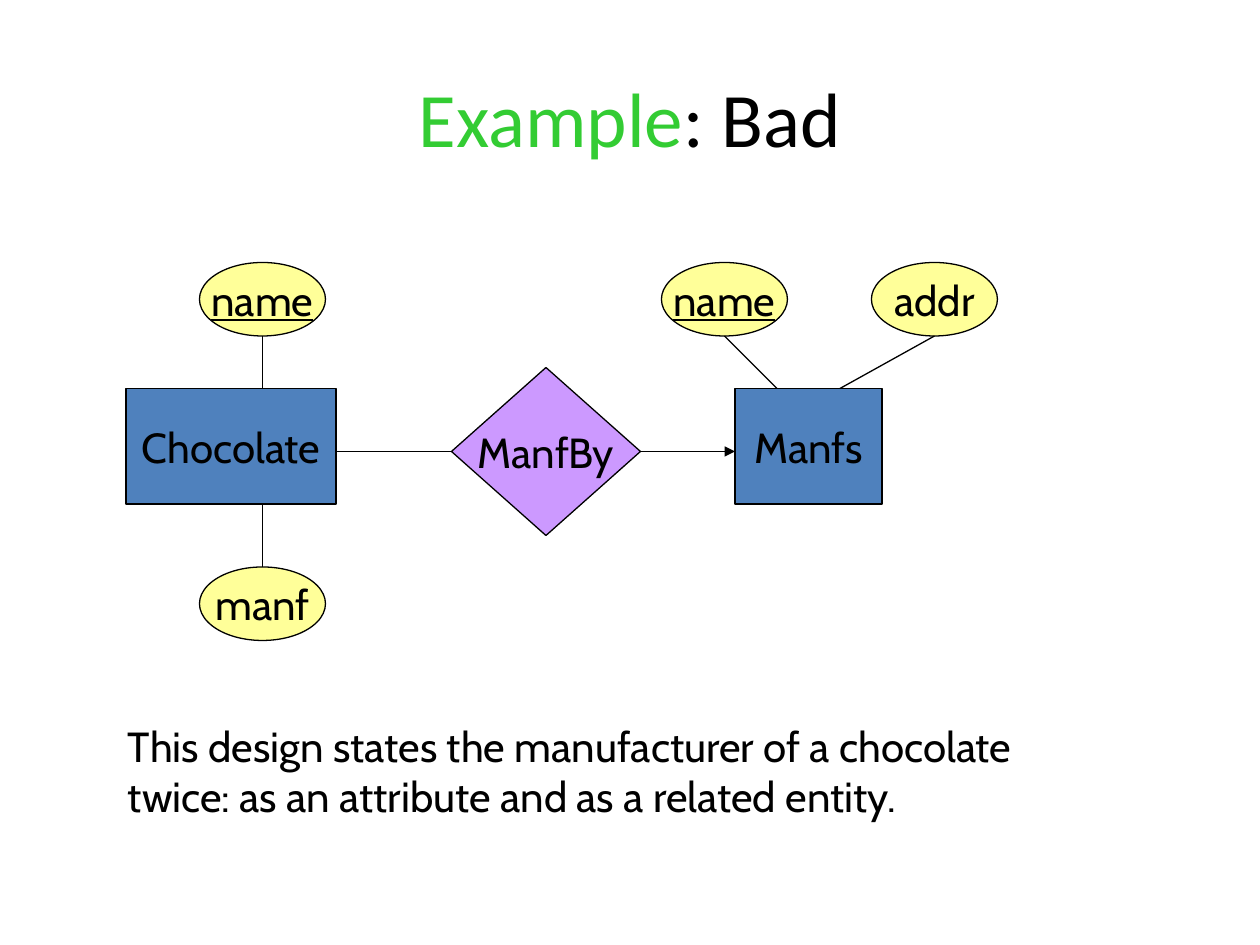
from dataclasses import dataclass

from lxml.etree import SubElement
from pptx import Presentation
from pptx.dml.color import RGBColor
from pptx.enum.shapes import MSO_CONNECTOR as Conn, MSO_SHAPE as Kind
from pptx.enum.text import MSO_ANCHOR as Anchor, MSO_AUTO_SIZE as Fit, PP_ALIGN as Align
from pptx.oxml.ns import qn
from pptx.util import Emu, Pt

PX = 9525
BLACK, GREEN = "000000", "33CC33"
BLUE, PURPLE, YELLOW = "4F81BD", "CC99FF", "FFFF99"


@dataclass
class Node:
    """A labelled shape of the diagram."""
    text: str
    kind: Kind
    fill: str
    box: tuple[int, int, int, int]
    key: bool = False


@dataclass
class Link:
    """A line between two points, joined to the diamond if a site is given."""
    start: tuple[int, int]
    end: tuple[int, int]
    site: int | None = None
    arrow: bool = False


def px(*vals: int) -> list[Emu]:
    """Turn px into EMU."""
    return [Emu(v * PX) for v in vals]


def rgb(code: str) -> RGBColor:
    """Turn a hex string into a colour."""
    return RGBColor.from_string(code)


def oval(text: str, left: int, top: int, key: bool = False) -> Node:
    """Describe an attribute."""
    return Node(text, Kind.OVAL, YELLOW, (left, top, 96, 56), key)


def add_run(para, text: str, size: int = 24, font: str = "Cabin",
            color: str = BLACK, under: bool | None = None) -> None:
    """Add one formatted run."""
    run = para.add_run()
    run.text = text
    run.font.size = Pt(size)
    run.font.name = font
    run.font.underline = under
    run.font.color.rgb = rgb(color)


def add_node(slide, node: Node):
    """Draw a labelled shape."""
    shape = slide.shapes.add_shape(node.kind, *px(*node.box))
    shape.shadow.inherit = False
    shape.fill.solid()
    shape.fill.fore_color.rgb = rgb(node.fill)
    shape.line.color.rgb = rgb(BLACK)
    shape.line.width = Pt(0.75)
    frame = shape.text_frame
    frame.word_wrap = False
    frame.vertical_anchor = Anchor.MIDDLE
    para = frame.paragraphs[0]
    para.alignment = Align.CENTER
    add_run(para, node.text, under=node.key or None)
    return shape


def add_link(slide, link: Link, hub) -> None:
    """Draw a line, with an arrowhead if asked."""
    line = slide.shapes.add_connector(Conn.STRAIGHT, *px(*link.start, *link.end))
    if link.site is not None:
        line.begin_connect(hub, link.site)
    line.line.color.rgb = rgb(BLACK)
    line.line.width = Pt(0.75)
    if link.arrow:
        SubElement(line.line._get_or_add_ln(), qn("a:tailEnd"), type="triangle")
    SubElement(line._element.spPr, qn("a:effectLst"))


def add_title(slide) -> None:
    """Fill the title placeholder."""
    title = slide.shapes.title
    title.left, title.top, title.width, title.height = px(48, 29, 864, 120)
    title.text_frame.vertical_anchor = Anchor.MIDDLE
    para = title.text_frame.paragraphs[0]
    para.alignment = Align.CENTER
    add_run(para, "Example", 44, "Calibri", GREEN)
    add_run(para, ": Bad", 44, "Calibri")


def add_note(slide, text: str) -> None:
    """Write the remark below the diagram."""
    frame = slide.shapes.add_textbox(*px(88, 544, 722, 125)).text_frame
    frame.word_wrap = True
    frame.auto_size = Fit.SHAPE_TO_FIT_TEXT
    add_run(frame.paragraphs[0], text)


NODES = [
    Node("Chocolate", Kind.RECTANGLE, BLUE, (96, 296, 160, 88)),
    Node("Manfs", Kind.RECTANGLE, BLUE, (560, 296, 112, 88)),
    oval("name", 152, 200, True),
    oval("name", 504, 200, True),
    oval("manf", 152, 432),
    oval("addr", 664, 200),
]
HUB = Node("ManfBy", Kind.DIAMOND, PURPLE, (344, 280, 144, 128))
LINKS = [
    Link((488, 344), (496, 344), site=3),
    Link((344, 344), (256, 344), site=1),
    Link((200, 256), (200, 296)),
    Link((552, 256), (592, 296)),
    Link((712, 256), (640, 296)),
    Link((496, 344), (560, 344), arrow=True),
    Link((200, 432), (200, 384)),
]


def main() -> None:
    """Build and save the slide."""
    deck = Presentation()
    deck.slide_width, deck.slide_height = px(960, 720)
    slide = deck.slides.add_slide(deck.slide_layouts[5])
    add_title(slide)
    for node in NODES:
        add_node(slide, node)
    hub = add_node(slide, HUB)
    for link in LINKS:
        add_link(slide, link, hub)
    add_note(slide, "This design states the manufacturer of a chocolate twice: "
                    "as an attribute and as a related entity.")
    deck.save("out.pptx")


if __name__ == "__main__":
    main()
